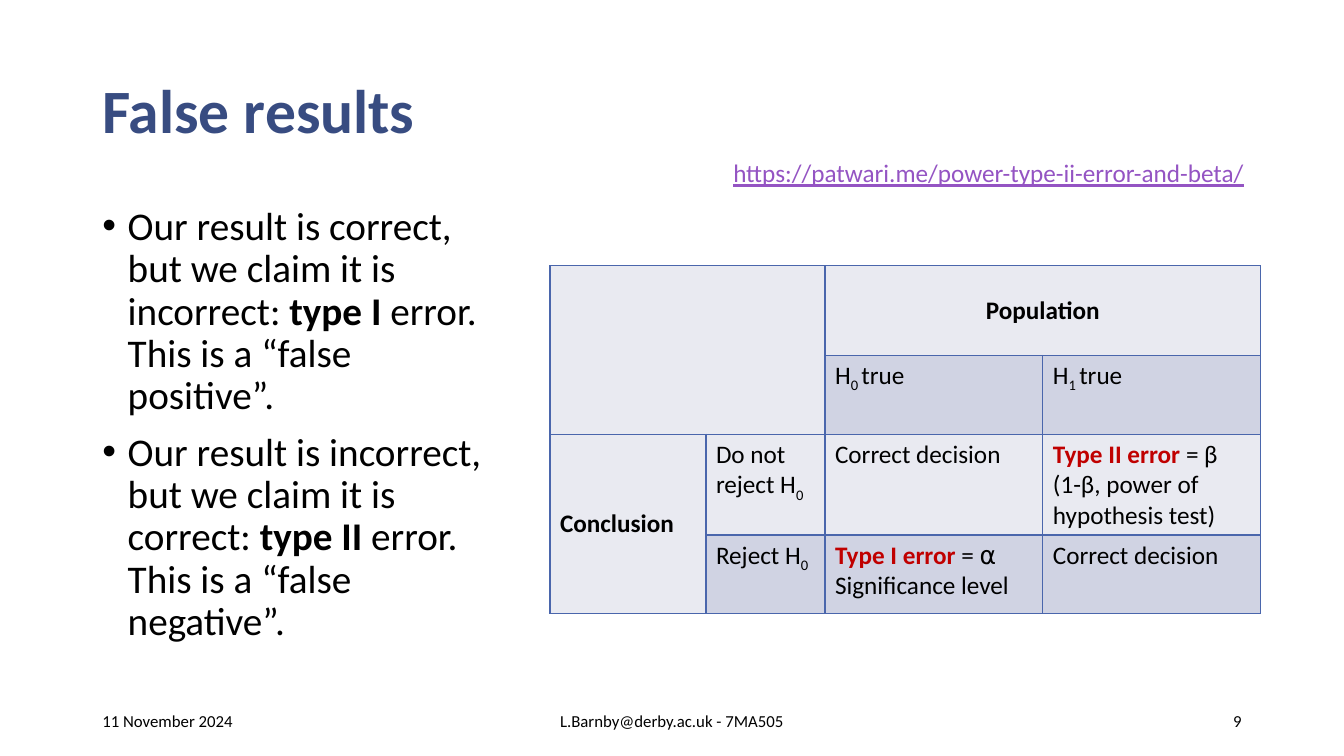
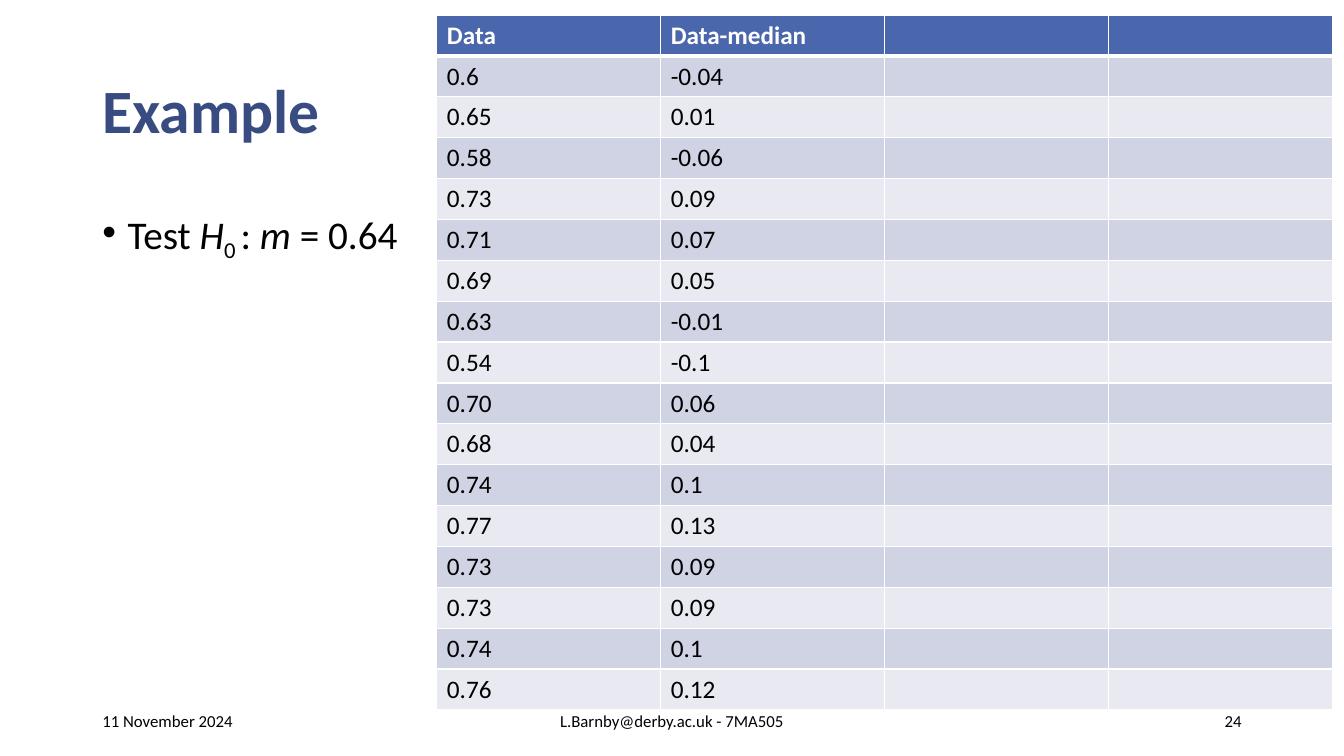
from lxml import etree
from pptx import Presentation
from pptx.dml.color import RGBColor
from pptx.enum.text import MSO_ANCHOR, PP_ALIGN
from pptx.oxml.ns import qn
from pptx.util import Cm, Pt

LEFT, CENTER, RIGHT = PP_ALIGN.LEFT, PP_ALIGN.CENTER, PP_ALIGN.RIGHT
TOP, MIDDLE = MSO_ANCHOR.TOP, MSO_ANCHOR.MIDDLE

# Shared look
FONT = "Calibri"
BLACK, WHITE = "000000", "FFFFFF"
NAVY, BLUE, PURPLE, RED = "384C81", "4A66AC", "9454C3", "C00000"
LIGHT, DARK = "E9EAF1", "D0D3E3"
MARGIN = 2.33
FOOTER_TOP, FOOTER_HEIGHT = 17.66, 1.01

# Run styles
BOLD = {"bold": True}
ITALIC = {"italic": True}
SUB = {"sub": True}
ERROR = {"bold": True, "color": RED}

# Slide content
ERROR_BULLETS = [
    ["Our result is correct, but we claim it is incorrect: ",
     ("type I ", BOLD), "error. This is a “false positive”."],
    ["Our result is incorrect, but we claim it is correct: ",
     ("type II ", BOLD), "error. This is a “false negative”."],
]
DECISIONS = {  # (row, column): paragraphs
    (1, 2): [["H", ("0 ", SUB), "true"]],
    (1, 3): [["H", ("1 ", SUB), "true"]],
    (2, 1): [["Do not reject H", ("0", SUB)]],
    (2, 2): [["Correct decision"]],
    (2, 3): [[("Type II error ", ERROR), "= β", "\n",
              "(1-β, power of hypothesis test)"]],
    (3, 1): [["Reject H", ("0", SUB)]],
    (3, 2): [[("Type I error ", ERROR), "= ⍺"], ["Significance level"]],
    (3, 3): [["Correct decision"]],
}
SAMPLE = [
    ("0.6", "-0.04"), ("0.65", "0.01"), ("0.58", "-0.06"), ("0.73", "0.09"),
    ("0.71", "0.07"), ("0.69", "0.05"), ("0.63", "-0.01"), ("0.54", "-0.1"),
    ("0.70", "0.06"), ("0.68", "0.04"), ("0.74", "0.1"), ("0.77", "0.13"),
    ("0.73", "0.09"), ("0.73", "0.09"), ("0.74", "0.1"), ("0.76", "0.12"),
]


def rgb(color):
    return RGBColor.from_string(color)


# Text
def add_run(paragraph, text, size, color=BLACK, bold=False, italic=False,
            underline=False, sub=False):
    run = paragraph.add_run()
    run.text = text
    font = run.font
    font.name, font.size = FONT, Pt(size)
    font.bold, font.italic, font.underline = bold, italic, underline
    font.color.rgb = rgb(color)
    if sub:
        run._r.get_or_add_rPr().set("baseline", "-25000")


def write(frame, paragraphs, size, align=LEFT, **style):
    """Fill a frame; a paragraph is a list of texts or (text, style) pairs."""
    for index, pieces in enumerate(paragraphs):
        paragraph = frame.add_paragraph() if index else frame.paragraphs[0]
        paragraph.alignment = align
        for piece in pieces:
            if piece == "\n":
                paragraph.add_line_break()
                continue
            text, own = (piece, {}) if isinstance(piece, str) else piece
            add_run(paragraph, text, size, **{**style, **own})


def add_text(slide, box, paragraphs, size, anchor=MIDDLE, wrap=True, **style):
    frame = slide.shapes.add_textbox(*map(Cm, box)).text_frame
    frame.word_wrap = wrap
    frame.vertical_anchor = anchor
    write(frame, paragraphs, size, **style)
    return frame


def add_bullets(slide, box, bullets):
    frame = add_text(slide, box, bullets, 28, anchor=TOP)
    for index, paragraph in enumerate(frame.paragraphs):
        properties = paragraph._p.get_or_add_pPr()
        properties.set("marL", str(Cm(0.64)))
        properties.set("indent", str(-Cm(0.64)))
        etree.SubElement(properties, qn("a:buFont")).set("typeface", "Arial")
        etree.SubElement(properties, qn("a:buChar")).set("char", "•")
        paragraph.line_spacing = 0.9
        if index:
            paragraph.space_before = Pt(10)


# Tables
def add_grid(slide, left, top, widths, heights):
    table = slide.shapes.add_table(
        len(heights), len(widths), Cm(left), Cm(top),
        Cm(sum(widths)), Cm(sum(heights))).table
    table.first_row = table.horz_banding = False
    for column, width in zip(table.columns, widths):
        column.width = Cm(width)
    for row, height in zip(table.rows, heights):
        row.height = Cm(height)
    return table


def style_cell(cell, fill, border, top=1, bottom=1):
    properties = cell._tc.get_or_add_tcPr()
    for side, width in (("L", 1), ("R", 1), ("T", top), ("B", bottom)):
        line = etree.SubElement(properties, qn(f"a:ln{side}"), w=str(Pt(width)))
        solid = etree.SubElement(line, qn("a:solidFill"))
        etree.SubElement(solid, qn("a:srgbClr")).set("val", border)
    cell.fill.solid()
    cell.fill.fore_color.rgb = rgb(fill)


def add_decision_table(slide):
    table = add_grid(slide, 13.86, 6.7, [3.93, 3, 5.49, 5.49],
                     [2.26, 1.98, 2.18, 1.98])
    for row in range(4):
        for column in range(4):
            banded = row % 2 and (row, column) in DECISIONS
            style_cell(table.cell(row, column), DARK if banded else LIGHT, BLUE)
    for first, last in (((0, 0), (1, 1)), ((0, 2), (0, 3)), ((2, 0), (3, 0))):
        table.cell(*first).merge(table.cell(*last))
    for place, paragraphs in DECISIONS.items():
        write(table.cell(*place).text_frame, paragraphs, 18)
    for place, heading, align in (((0, 2), "Population", CENTER),
                                  ((2, 0), "Conclusion", LEFT)):
        cell = table.cell(*place)
        cell.vertical_anchor = MIDDLE
        write(cell.text_frame, [[heading]], 18, align=align, bold=True)


def add_sample_table(slide):
    rows = [("Data", "Data-median")] + SAMPLE
    table = add_grid(slide, 11.01, 0.38, [5.64] * 4, [1.03] * len(rows))
    for index, values in enumerate(rows):
        header = index == 0
        fill = BLUE if header else DARK if index % 2 else LIGHT
        for column in range(4):
            style_cell(table.cell(index, column), fill, WHITE,
                       top=3 if index == 1 else 1, bottom=3 if header else 1)
        for column, value in enumerate(values):
            write(table.cell(index, column).text_frame, [[value]], 18,
                  color=WHITE if header else BLACK, bold=header)


# Slides
def add_slide(deck, title, number):
    slide = deck.slides.add_slide(deck.slide_layouts[6])
    heading = add_text(slide, (MARGIN, 1.01, 29.21, 3.68), [[title]], 44,
                       color=NAVY, bold=True)
    heading.paragraphs[0].line_spacing = 0.9
    for left, width, text, align in (
            (MARGIN, 7.62, "11 November 2024", LEFT),
            (11.22, 11.43, "L.Barnby@derby.ac.uk - 7MA505", CENTER),
            (23.92, 7.62, str(number), RIGHT)):
        add_text(slide, (left, FOOTER_TOP, width, FOOTER_HEIGHT), [[text]], 12,
                 align=align)
    return slide


def main():
    deck = Presentation()
    deck.slide_width, deck.slide_height = Cm(33.87), Cm(19.05)

    false_results = add_slide(deck, "False results", 9)
    add_bullets(false_results, (MARGIN, 5.08, 10.58, 11.99), ERROR_BULLETS)
    add_text(false_results, (18.23, 3.85, 13.54, 1.03),
             [["https://patwari.me/power-type-ii-error-and-beta/"]], 18,
             anchor=TOP, wrap=False, color=PURPLE, underline=True)
    add_decision_table(false_results)

    example = add_slide(deck, "Example", 24)
    add_bullets(example, (MARGIN, 5.18, 8.43, 11.99),
                [["Test ", ("H", ITALIC), ("0 ", SUB), ": ", ("m", ITALIC),
                  " = 0.64"]])
    add_sample_table(example)

    deck.save("out.pptx")


if __name__ == "__main__":
    main()
